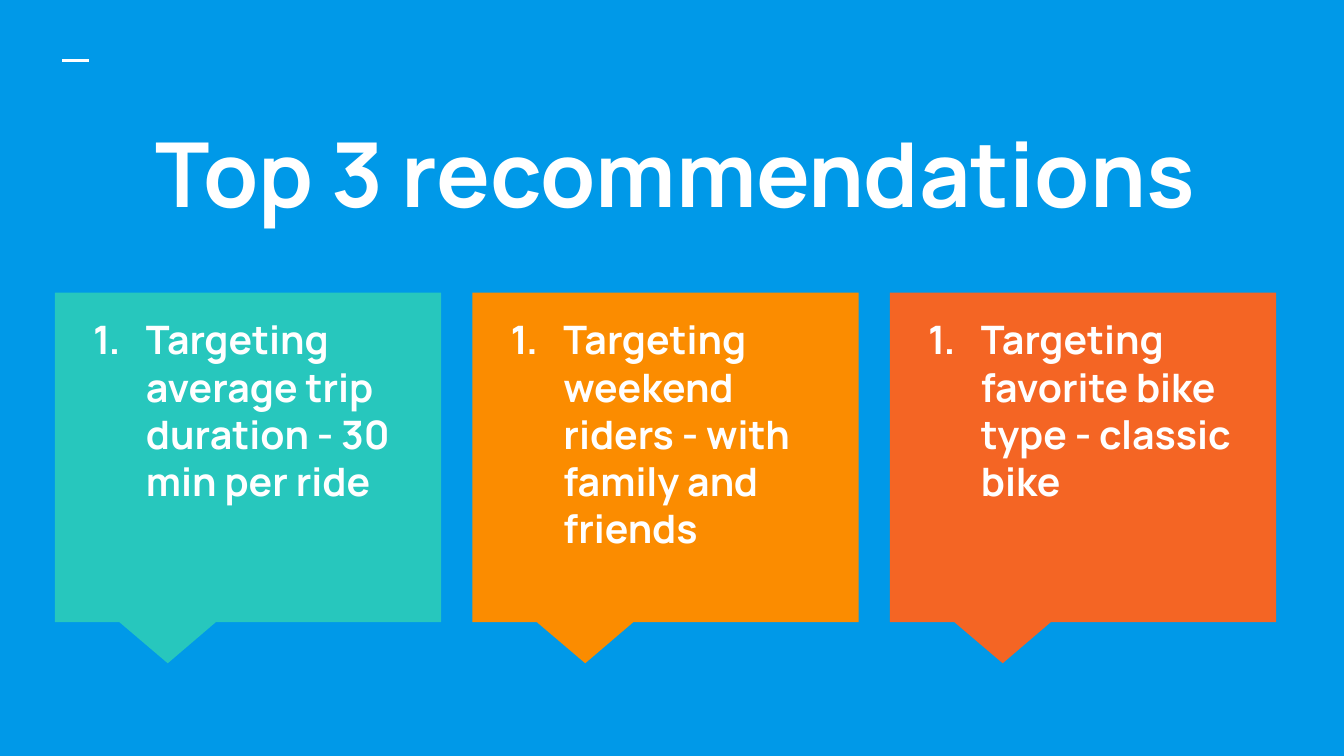
from pptx import Presentation
from pptx.dml.color import RGBColor
from pptx.enum.shapes import MSO_CONNECTOR as Line, MSO_SHAPE as Shape
from pptx.enum.text import MSO_ANCHOR as Anchor, MSO_AUTO_SIZE as Fit, PP_ALIGN as Align
from pptx.oxml.ns import qn
from pptx.util import Cm, Pt
from lxml.etree import SubElement

BLUE = RGBColor(0x00, 0x99, 0xE8)
TEAL = RGBColor(0x27, 0xC7, 0xBD)
AMBER = RGBColor(0xFB, 0x8C, 0x00)
RED = RGBColor(0xF4, 0x65, 0x24)
WHITE = RGBColor(0xFF, 0xFF, 0xFF)


class Deck:
    """Holds the text style and the current slide."""

    font = "Manrope"
    frame = {"word_wrap": True, "auto_size": Fit.NONE, "vertical_anchor": Anchor.TOP,
             "margin_left": Cm(0.25), "margin_right": Cm(0.25),
             "margin_top": Cm(0.25), "margin_bottom": Cm(0.25)}

    def __init__(self, prs):
        self.slide = prs.slides.add_slide(prs.slide_layouts[5])
        fill = self.slide.background.fill
        fill.solid()
        fill.fore_color.rgb = BLUE

    def label(self, box, text, size, align):
        frame = box.text_frame
        for name, value in self.frame.items():
            setattr(frame, name, value)
        para = frame.paragraphs[0]
        para.alignment = align
        run = para.add_run()
        run.text = text
        style = {"name": self.font, "size": Pt(size), "bold": True}
        for name, value in style.items():
            setattr(run.font, name, value)
        run.font.color.rgb = WHITE
        return para

    def title(self, text, left, top, width, height):
        box = self.slide.shapes.title
        place = {"left": left, "top": top, "width": width, "height": height}
        for name, value in place.items():
            setattr(box, name, Cm(value))
        self.label(box, text, 48, Align.CENTER)

    def dash(self, left, top, width):
        line = self.slide.shapes.add_connector(
            Line.STRAIGHT, Cm(left), Cm(top), Cm(left + width), Cm(top))
        line.line.color.rgb = WHITE
        line.line.width = Pt(1.5)
        SubElement(line._element.spPr, qn("a:effectLst"))

    def callout(self, color, left, top, width, height):
        card = self.slide.shapes.add_shape(
            Shape.RECTANGULAR_CALLOUT, Cm(left), Cm(top), Cm(width), Cm(height))
        card.shadow.inherit = False
        card.adjustments[0] = -0.208
        card.adjustments[1] = 0.625
        card.fill.solid()
        card.fill.fore_color.rgb = color
        card.line.fill.background()

    def item(self, text, left, top, width, height):
        box = self.slide.shapes.add_textbox(Cm(left), Cm(top), Cm(width), Cm(height))
        para = self.label(box, text, 21, Align.LEFT)
        # Numbered list with a hanging indent
        props = para._p.get_or_add_pPr()
        props.set("marL", str(Cm(1.27)))
        props.set("indent", str(-Cm(1)))
        tint = SubElement(props, qn("a:buClr"))
        SubElement(tint, qn("a:srgbClr"), val=str(WHITE))
        SubElement(props, qn("a:buFont"), typeface=self.font)
        SubElement(props, qn("a:buAutoNum"), type="arabicPeriod")


def main():
    prs = Presentation()
    prs.slide_width, prs.slide_height = Cm(25.4), Cm(14.29)
    deck = Deck(prs)

    # Heading
    deck.dash(1.18, 1.15, 0.5)
    deck.title("Top 3 recommendations", 0.79, 1.98, 23.95, 2.84)

    # Recommendation cards
    cards = [
        (TEAL, "Targeting average trip duration - 30 min per ride"),
        (AMBER, "Targeting weekend riders - with family and friends"),
        (RED, "Targeting favorite bike type - classic bike"),
    ]
    for i, (color, text) in enumerate(cards):
        left = 1.04 + i * 7.89
        deck.callout(color, left, 5.53, 7.3, 6.23)
        deck.item(text, left + 0.2, 5.72, 6.88, 5.56)

    prs.save("out.pptx")


if __name__ == "__main__":
    main()
